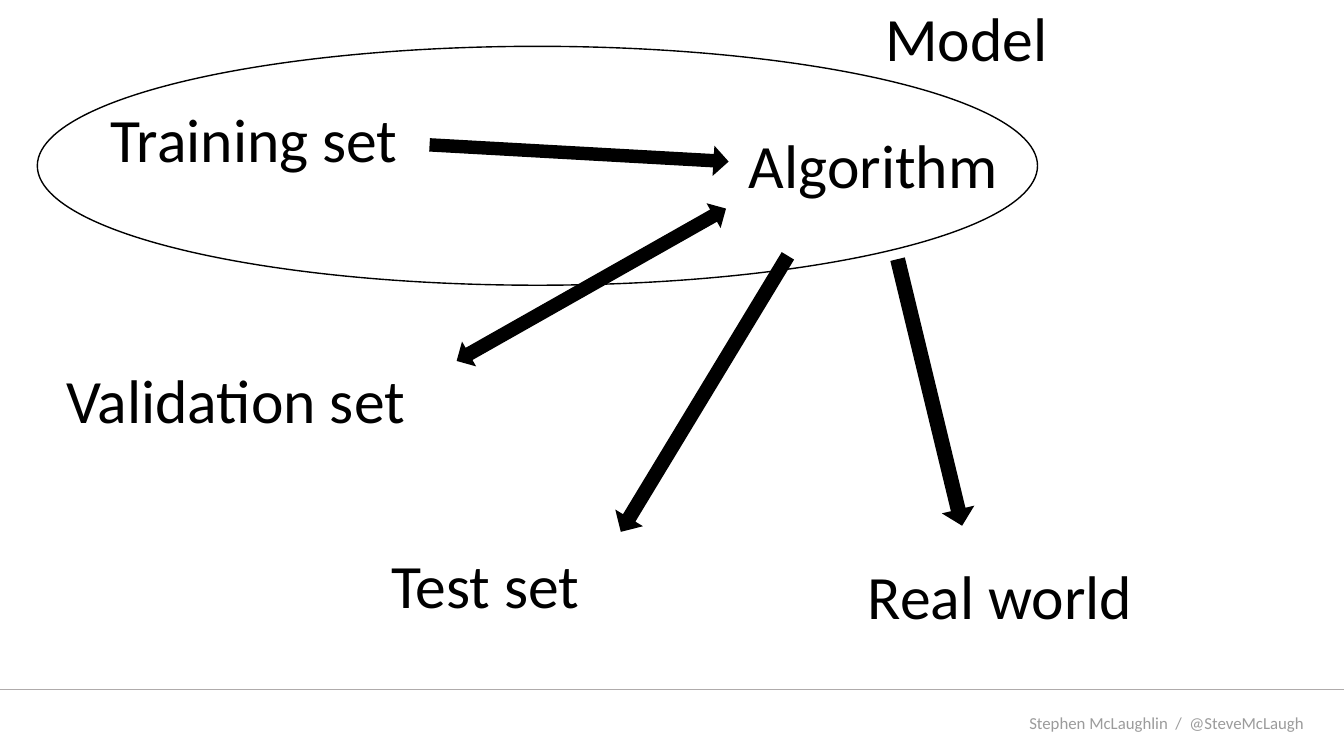
from lxml import etree
from pptx import Presentation
from pptx import util as u
from pptx.dml.color import RGBColor
from pptx.enum import shapes, text
from pptx.oxml import ns

COLORS = {"ink": "000000", "rule": "AFABAB", "footer": "595959"}
FONT = "Calibri"
Kind = shapes.MSO_SHAPE

LABELS = [
    ("Algorithm", 7.33, 1.21, 2.7),
    ("Validation set", 0.56, 3.54, 3.61),
    ("Test set", 3.78, 5.38, 2.09),
    ("Real world", 8.51, 5.49, 2.86),
    ("Training set", 1, 0.95, 3.08),
    ("Model", 8.68, -0.05, 1.83),
]
ARROWS = [
    (Kind.RIGHT_ARROW, (4.3, 1.47, 2.87, 0.1), 3.2, 6),
    (Kind.RIGHT_ARROW, (7.91, 3.82, 2.62, 0.13), 76.4, 6),
    (Kind.RIGHT_ARROW, (5.44, 3.84, 3.1, 0.12), 121.2, 6),
    (Kind.LEFT_RIGHT_ARROW, (4.34, 2.7, 3.05, 0.25), 330.5, 1),
]


def color(name):
    """Return a named colour."""
    return RGBColor.from_string(COLORS[name])


def add_text(slide, words, box, size, color_name, wrap=False):
    """Add a one-line text box and return its run."""
    shape = slide.shapes.add_textbox(*map(u.Inches, box))
    frame = shape.text_frame
    frame.word_wrap = wrap
    frame.auto_size = text.MSO_AUTO_SIZE.SHAPE_TO_FIT_TEXT
    run = frame.paragraphs[0].add_run()
    run.text = words
    run.font.name = FONT
    run.font.size = u.Pt(size)
    run.font.color.rgb = color(color_name)
    return run


def add_outlined(slide, kind, box, width):
    """Add an unfilled shape with a sharp-cornered black outline."""
    shape = slide.shapes.add_shape(kind, *map(u.Inches, box))
    shape.shadow.inherit = False
    shape.fill.background()
    shape.line.color.rgb = color("ink")
    shape.line.width = u.Pt(width)
    etree.SubElement(shape.line._get_or_add_ln(), ns.qn("a:miter"), lim="800000")
    return shape


def add_arrow(slide, kind, box, angle, width):
    """Add a solid rotated block arrow."""
    arrow = add_outlined(slide, kind, box, width)
    arrow.fill.solid()
    arrow.fill.fore_color.rgb = color("ink")
    arrow.rotation = angle


def add_footer(slide):
    """Add the footer rule and the translucent credit."""
    rule = slide.shapes.add_connector(
        shapes.MSO_CONNECTOR.STRAIGHT, 0, u.Inches(6.84), u.Inches(13.33), u.Inches(6.84)
    )
    rule.line.color.rgb = color("rule")
    rule.line.width = u.Pt(0.5)
    etree.SubElement(rule._element.spPr, ns.qn("a:effectLst"))
    credit = add_text(
        slide, "Stephen McLaughlin  /  @SteveMcLaugh", (10.11, 7.02, 3.22, 0.3), 12, "footer", True
    )
    tint = credit._r.find(".//" + ns.qn("a:srgbClr"))
    etree.SubElement(tint, ns.qn("a:alpha"), val="60000")


def main():
    """Build the model diagram slide."""
    presentation = Presentation()
    presentation.slide_width = u.Inches(13.33)
    presentation.slide_height = u.Inches(7.5)
    slide = presentation.slides.add_slide(presentation.slide_layouts[6])
    add_footer(slide)
    for arrow in ARROWS:
        add_arrow(slide, *arrow)
    add_outlined(slide, Kind.OVAL, (0.37, 0.46, 9.92, 2.37), 1)
    for words, left, top, width in LABELS:
        add_text(slide, words, (left, top, width, 0.84), 44, "ink")
    presentation.save("out.pptx")


if __name__ == "__main__":
    main()
